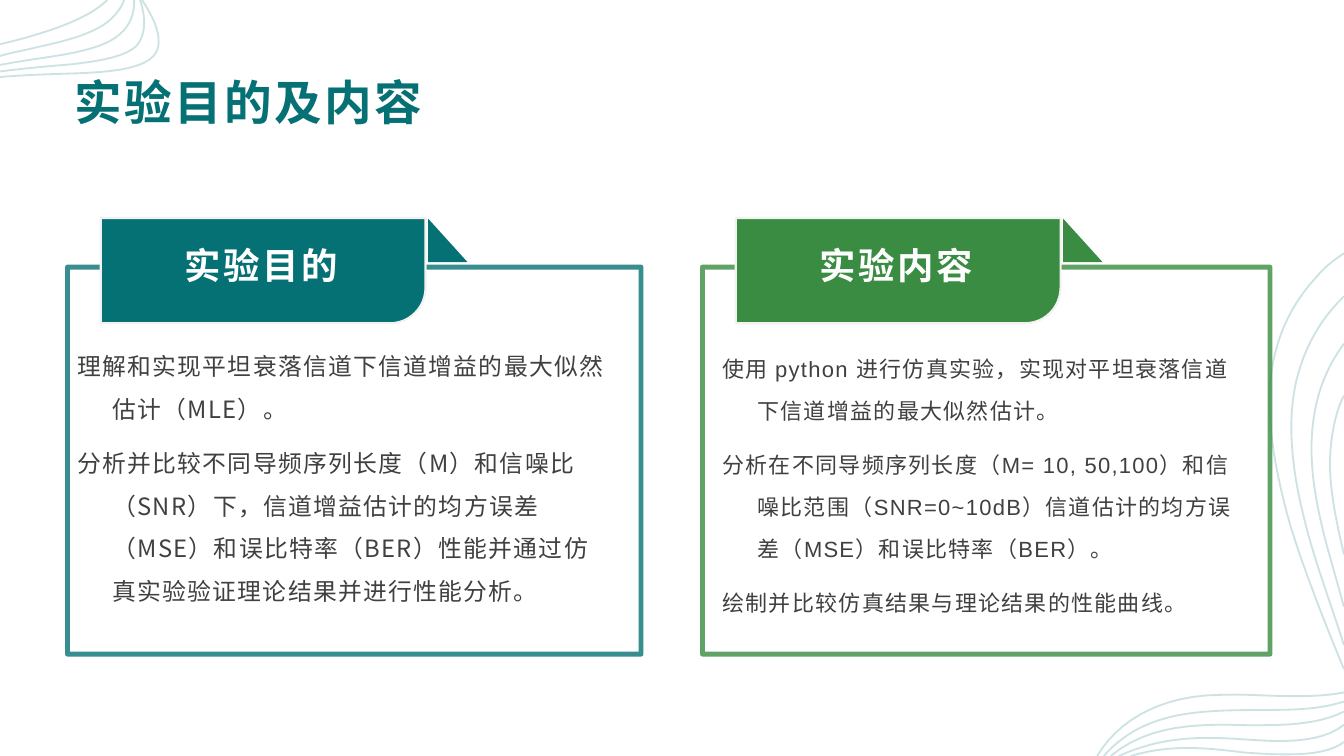
from dataclasses import dataclass

from lxml import etree
from pptx import Presentation
from pptx.dml.color import RGBColor
from pptx.enum.shapes import MSO_SHAPE
from pptx.enum.text import MSO_ANCHOR, PP_ALIGN
from pptx.oxml.ns import qn
from pptx.util import Pt

RECT, TRIANGLE = MSO_SHAPE.RECTANGLE, MSO_SHAPE.RIGHT_TRIANGLE
MIDDLE, CENTER = MSO_ANCHOR.MIDDLE, PP_ALIGN.CENTER
TEAL = RGBColor(0x05, 0x71, 0x74)
GREEN = RGBColor(0x3A, 0x8C, 0x42)
PALE = RGBColor(0xF2, 0xF2, 0xF2)
WHITE = RGBColor(0xFF, 0xFF, 0xFF)
DARK = RGBColor(0x40, 0x40, 0x40)
ARIAL, NOTO = "Arial", "Noto Sans CJK SC"

Point = tuple[float, float]
Strand = list[Point]  # a start point, then three Bezier points per curve


@dataclass
class TextStyle:
    size: float
    font: str
    color: RGBColor
    spacing: float
    bold: bool = False


@dataclass
class Body:
    left: float
    top: float
    width: float
    height: float
    style: TextStyle
    line_spacing: float
    items: list[str]


@dataclass
class Card:
    left: float
    width: float
    color: RGBColor
    heading: str
    body: Body


TITLE_STYLE = TextStyle(34, NOTO, TEAL, 1.8, True)
HEADING_STYLE = TextStyle(26, ARIAL, WHITE, 1.8, True)

TOP_LEFT_WAVES: list[Strand] = [
    [(0, 31.7), (5.8, 30.2), (11.5, 28.8), (16.9, 27.4), (33, 22.7), (48, 18), (61, 11),
     (67, 8), (72.5, 4), (76.7, 0)],
    [(101.5, 0), (109, 11.5), (116, 25), (112.3, 36), (106, 51.5), (70, 52), (39, 52.9),
     (26, 53.3), (12, 54), (0, 55.1)],
    [(100.1, 0), (103.7, 10.8), (105, 24), (97.5, 32.8), (89, 41), (69, 43.9), (49.7, 46.1),
     (32.4, 47.5), (16, 49), (0, 51.1)],
    [(95.8, 0), (96.5, 14.4), (89, 26.5), (69.8, 33.1), (57, 37.4), (43, 39.6), (28, 41.8),
     (18.7, 43.2), (9.4, 44.6), (0, 46.4)],
    [(88.6, 0), (86.4, 6.5), (82, 11.5), (76.3, 16.2), (64, 25), (46, 29.5), (27.4, 33.5),
     (18, 36), (8.6, 37.4), (0, 40)],
]
BOTTOM_RIGHT_WAVES: list[Strand] = [
    [(960, 282.6), (956, 290), (952.6, 302), (951.1, 314.6), (947.5, 340), (953.3, 367), (960, 396)],
    [(960, 245.5), (950.4, 258.5), (943.2, 273.6), (939.6, 291.6), (933, 324), (939, 356),
     (947.5, 388.8), (951.8, 404), (956, 419), (960, 433.4)],
    [(960, 211.7), (943, 228), (931.7, 248.4), (925.9, 272.2), (919.5, 300), (922.3, 333),
     (931, 368), (937.4, 396), (950.4, 430.5), (960, 460.8)],
    [(960, 181), (952.6, 185.8), (945.4, 191.5), (939.6, 198.7), (920.9, 219), (910, 244),
     (907.2, 273.6), (905, 304.6), (911.5, 339), (921.6, 375), (931.7, 408), (946, 444), (960, 478)],
    [(960, 494.6), (943, 497.9), (923.8, 497.5), (903.2, 496.8), (889, 496), (875, 496),
     (861, 496.8), (825, 499.7), (798, 516), (783.7, 540)],
    [(960, 501.1), (940, 507.6), (920, 506.9), (897.8, 507.2), (878, 507.2), (858, 507.6),
     (840, 511.2), (815, 516.5), (800, 527), (788.4, 540)],
    [(960, 508.3), (940, 518.4), (914, 518), (890.6, 518), (857, 517), (821, 517), (793.4, 540)],
    [(960, 517.7), (943, 531.4), (914, 530), (888.5, 528.1), (853, 525.6), (828, 527), (799.2, 540)],
    [(960, 530), (947, 540), (921.6, 540), (888.5, 537.5), (857, 533.5), (835, 532), (807.5, 540)],
]

CARDS = [
    Card(48.2, 409.7, TEAL, "实验目的", Body(
        48.2, 225.4, 391.7, 222.5, TextStyle(17, NOTO, DARK, 0.9), 1.5, [
            "理解和实现平坦衰落信道下信道增益的最大似然估计（MLE）。",
            "分析并比较不同导频序列长度（M）和信噪比（SNR）下，信道增益估计的均方误差（MSE）"
            "和误比特率（BER）性能并通过仿真实验验证理论结果并进行性能分析。"])),
    Card(501.8, 405.4, GREEN, "实验内容", Body(
        509, 215.3, 379.4, 252, TextStyle(15.7, ARIAL, DARK, 0.9), 1.6, [
            "使用 python 进行仿真实验，实现对平坦衰落信道下信道增益的最大似然估计。",
            "分析在不同导频序列长度（M= 10, 50,100）和信噪比范围（SNR=0~10dB）"
            "信道估计的均方误差（MSE）和误比特率（BER）。",
            "绘制并比较仿真结果与理论结果的性能曲线。"])),
]


def curve_points(strand: Strand, steps: int = 12) -> list[Point]:
    points = [strand[0]]
    for i in range(0, len(strand) - 1, 3):
        a, b, c, d = strand[i:i + 4]
        for k in range(1, steps + 1):
            t = k / steps
            weights = ((1 - t) ** 3, 3 * t * (1 - t) ** 2, 3 * t * t * (1 - t), t ** 3)
            points.append(tuple(sum(w * q[axis] for w, q in zip(weights, (a, b, c, d)))
                                for axis in (0, 1)))
    return points


def add_outline(s, contours: list[list[Point]], close: bool):
    builder = None
    for contour in contours:
        (x, y), *rest = [(Pt(px), Pt(py)) for px, py in contour]
        if builder is None:
            builder = s.shapes.build_freeform(x, y)
        else:
            builder.move_to(x, y)
        builder.add_line_segments(rest, close=close)
    sp = builder.convert_to_shape()
    sp.shadow.inherit = False
    return sp


def add_preset(s, kind, left: float, top: float, width: float, height: float):
    sp = s.shapes.add_shape(kind, Pt(left), Pt(top), Pt(width), Pt(height))
    sp.shadow.inherit = False
    return sp


def set_line(sp, color: RGBColor, width: float, opacity: int = 100) -> None:
    sp.line.color.rgb = color
    sp.line.width = Pt(width)
    if opacity < 100:
        clr = sp.line.fill._xPr.find(".//" + qn("a:srgbClr"))
        etree.SubElement(clr, qn("a:alpha")).set("val", str(opacity * 1000))


def set_fill(sp, color: RGBColor) -> None:
    sp.fill.solid()
    sp.fill.fore_color.rgb = color


def add_text(s, left: float, top: float, width: float, height: float,
             items: list[str], style: TextStyle):
    tf = s.shapes.add_textbox(Pt(left), Pt(top), Pt(width), Pt(height)).text_frame
    tf.word_wrap = True
    tf.vertical_anchor = MIDDLE
    tf.text = "\n".join(items)
    for p in tf.paragraphs:
        for r in p.runs:
            r.font.size = Pt(style.size)
            r.font.bold = style.bold
            r.font.color.rgb = style.color
            r.font.name = style.font
            rPr = r._r.get_or_add_rPr()
            rPr.set("spc", str(round(style.spacing * 100)))
            etree.SubElement(rPr, qn("a:ea")).set("typeface", NOTO)
    return tf


def add_waves(s, strands: list[Strand]) -> None:
    sp = add_outline(s, [curve_points(strand) for strand in strands], close=False)
    sp.fill.background()
    set_line(sp, TEAL, 1.3, 20)


def add_card(s, card: Card) -> None:
    # Frame
    frame = add_preset(s, RECT, card.left, 190.8, card.width, 276.5)
    frame.fill.background()
    set_line(frame, card.color, 3.5, 80)
    # Tab with one rounded corner
    left, top, right, bottom = card.left + 23.8, 155.7, card.left + 255.8, 230.9
    corner = [(right, bottom - 25.5), (right, bottom - 11.4), (right - 11.4, bottom),
              (right - 25.5, bottom)]
    tab = add_outline(s, [[(left, top), (right, top), *curve_points(corner), (left, bottom)]], True)
    set_fill(tab, card.color)
    set_line(tab, PALE, 1.5)
    # Folded corner
    fold = add_preset(s, TRIANGLE, card.left + 257.6, 156.2, 28.1, 31)
    set_fill(fold, card.color)
    fold.line.fill.background()
    # Heading and numbered text
    tf = add_text(s, card.left + 22.3, 152.6, 232.6, 72.7, [card.heading], HEADING_STYLE)
    tf.paragraphs[0].alignment = CENTER
    body = card.body
    tf = add_text(s, body.left, body.top, body.width, body.height, body.items, body.style)
    for p in tf.paragraphs:
        p.line_spacing = body.line_spacing
        p.space_after = Pt(8)
        pPr = p._p.get_or_add_pPr()
        pPr.set("marL", str(Pt(25)))
        pPr.set("indent", str(-Pt(25)))
        etree.SubElement(pPr, qn("a:buAutoNum")).set("type", "ea1JpnChsDbPeriod")


def main() -> None:
    prs = Presentation()
    prs.slide_width, prs.slide_height = Pt(960), Pt(540)
    s = prs.slides.add_slide(prs.slide_layouts[6])
    for strands in (TOP_LEFT_WAVES, BOTTOM_RIGHT_WAVES):
        add_waves(s, strands)
    tf = add_text(s, 48.2, 48.2, 864, 48.2, ["实验目的及内容"], TITLE_STYLE)
    tf.margin_left = tf.margin_right = Pt(5)
    tf.margin_top = tf.margin_bottom = Pt(2.2)
    for card in CARDS:
        add_card(s, card)
    prs.save("out.pptx")


if __name__ == "__main__":
    main()
